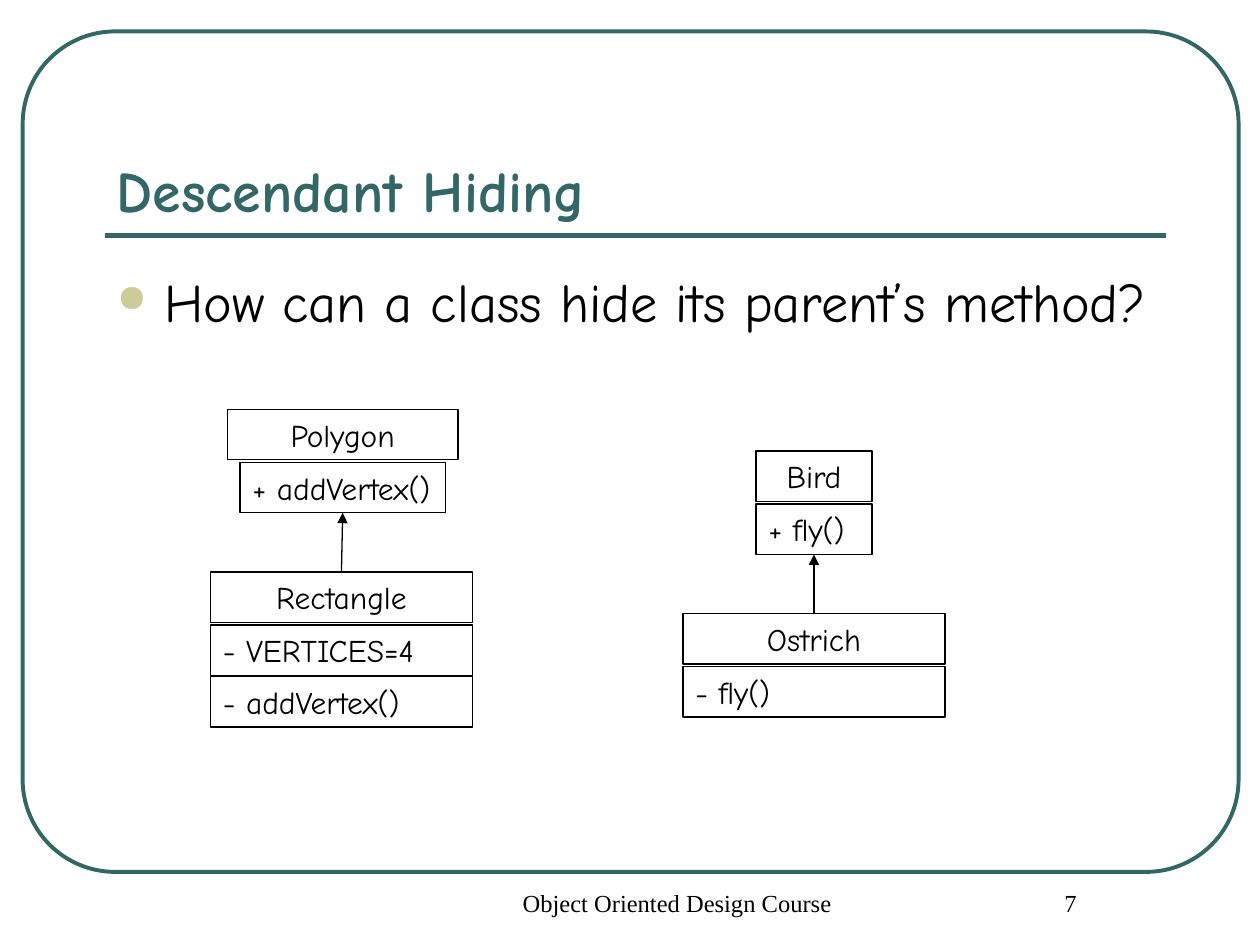
import lxml.etree
import pptx
import pptx.dml.color
import pptx.enum.shapes
import pptx.enum.text
import pptx.oxml.ns
import pptx.util

Inches = pptx.util.Inches
Pt = pptx.util.Pt
Align = pptx.enum.text.PP_ALIGN
Anchor = pptx.enum.text.MSO_ANCHOR
Preset = pptx.enum.shapes.MSO_SHAPE

TEAL = "336666"
BLACK = "000000"
SAND = "CCCC99"
HAND_FONT = "Comic Neue"
FOOTER_FONT = "Times New Roman"
ROW_HEIGHT = 0.4
ROW_PITCH = 0.41
NAME_GAP = 0.01


def color(hex_value):
    return pptx.dml.color.RGBColor.from_string(hex_value)


def add_xml(parent, tag, **attributes):
    return lxml.etree.SubElement(parent, pptx.oxml.ns.qn(tag), attributes)


def write(owner, text, size, font=HAND_FONT, ink=BLACK, bold=False,
          align=Align.LEFT, anchor=Anchor.TOP, wrap=True,
          margin=0, indent=0, bullet=None):
    frame = owner.text_frame
    frame.word_wrap = wrap
    frame.vertical_anchor = anchor
    paragraph = frame.paragraphs[0]
    paragraph.alignment = align
    properties = paragraph._p.get_or_add_pPr()
    properties.set("marL", str(Inches(margin)))
    properties.set("indent", str(Inches(indent)))
    if bullet:
        bullet_color = add_xml(properties, "a:buClr")
        add_xml(bullet_color, "a:srgbClr", val=SAND)
        add_xml(properties, "a:buSzPct", val="70000")
        add_xml(properties, "a:buChar", char=bullet)
    run = paragraph.add_run()
    run.text = text
    run.font.name = font
    run.font.size = Pt(size)
    run.font.bold = bold
    run.font.color.rgb = color(ink)


def add_text(slide, left, top, width, height, text, size, **style):
    box = slide.shapes.add_textbox(
        Inches(left), Inches(top), Inches(width), Inches(height))
    write(box, text, size, **style)


def add_outline(slide, preset, left, top, width, height, ink, weight):
    outline = slide.shapes.add_shape(
        preset, Inches(left), Inches(top), Inches(width), Inches(height))
    outline.shadow.inherit = False
    outline.fill.background()
    outline.line.color.rgb = color(ink)
    outline.line.width = Pt(weight)
    return outline


def add_line(slide, start, end, ink, weight):
    line = slide.shapes.add_connector(
        pptx.enum.shapes.MSO_CONNECTOR.STRAIGHT,
        *(Inches(value) for value in (*start, *end)))
    line.line.color.rgb = color(ink)
    line.line.width = Pt(weight)
    add_xml(line._element.spPr, "a:effectLst")
    return line


def add_class(slide, center, top, width, name, members, member_width=None):
    member_width = member_width or width
    row = add_outline(slide, Preset.RECTANGLE, center - width / 2, top,
                      width, ROW_HEIGHT, BLACK, 0.75)
    write(row, name, 18, align=Align.CENTER)
    header = row
    for index, member in enumerate(members, 1):
        row = add_outline(slide, Preset.RECTANGLE, center - member_width / 2,
                          top + NAME_GAP + index * ROW_PITCH,
                          member_width, ROW_HEIGHT, BLACK, 0.75)
        write(row, member, 18, wrap=member_width == width)
    return header, row


def add_inheritance(slide, child_header, parent_last_row):
    arrow = add_line(slide, (0, 0), (0, 0), BLACK, 0.75)
    arrow.begin_connect(child_header, 0)
    arrow.end_connect(parent_last_row, 2)
    add_xml(arrow.line._get_or_add_ln(), "a:tailEnd", type="triangle")


def main():
    deck = pptx.Presentation()
    deck.slide_width = Inches(10)
    deck.slide_height = Inches(7.5)
    slide = deck.slides.add_slide(deck.slide_layouts[6])

    border = add_outline(slide, Preset.ROUNDED_RECTANGLE,
                         0.18, 0.25, 9.65, 6.67, TEAL, 2.25)
    border.adjustments[0] = 0.11
    add_line(slide, (0.83, 1.87), (9.25, 1.87), TEAL, 3)
    add_text(slide, 0.83, 0.58, 8.42, 1.25, "Descendant Hiding", 33,
             ink=TEAL, bold=True, anchor=Anchor.BOTTOM)
    add_text(slide, 0.83, 2.08, 8.42, 4.42,
             "How can a class hide its parent’s method?", 31,
             margin=0.38, indent=-0.38, bullet="●")

    _, polygon_method = add_class(slide, 2.72, 3.25, 1.83, "Polygon",
                                  ["+ addVertex()"], member_width=1.63)
    rectangle, _ = add_class(slide, 2.71, 4.54, 2.08, "Rectangle",
                             ["- VERTICES=4", "- addVertex()"])
    add_inheritance(slide, rectangle, polygon_method)

    _, bird_method = add_class(slide, 6.46, 3.58, 0.92, "Bird", ["+ fly()"])
    ostrich, _ = add_class(slide, 6.46, 4.87, 2.08, "Ostrich", ["- fly()"])
    add_inheritance(slide, ostrich, bird_method)

    for left, width, text in ((3.67, 3.17, "Object Oriented Design Course"),
                              (7.5, 1.75, "7")):
        add_text(slide, left, 7, width, 0.5, text, 14, font=FOOTER_FONT,
                 align=Align.CENTER, margin=0.24)

    deck.save("out.pptx")


if __name__ == "__main__":
    main()
